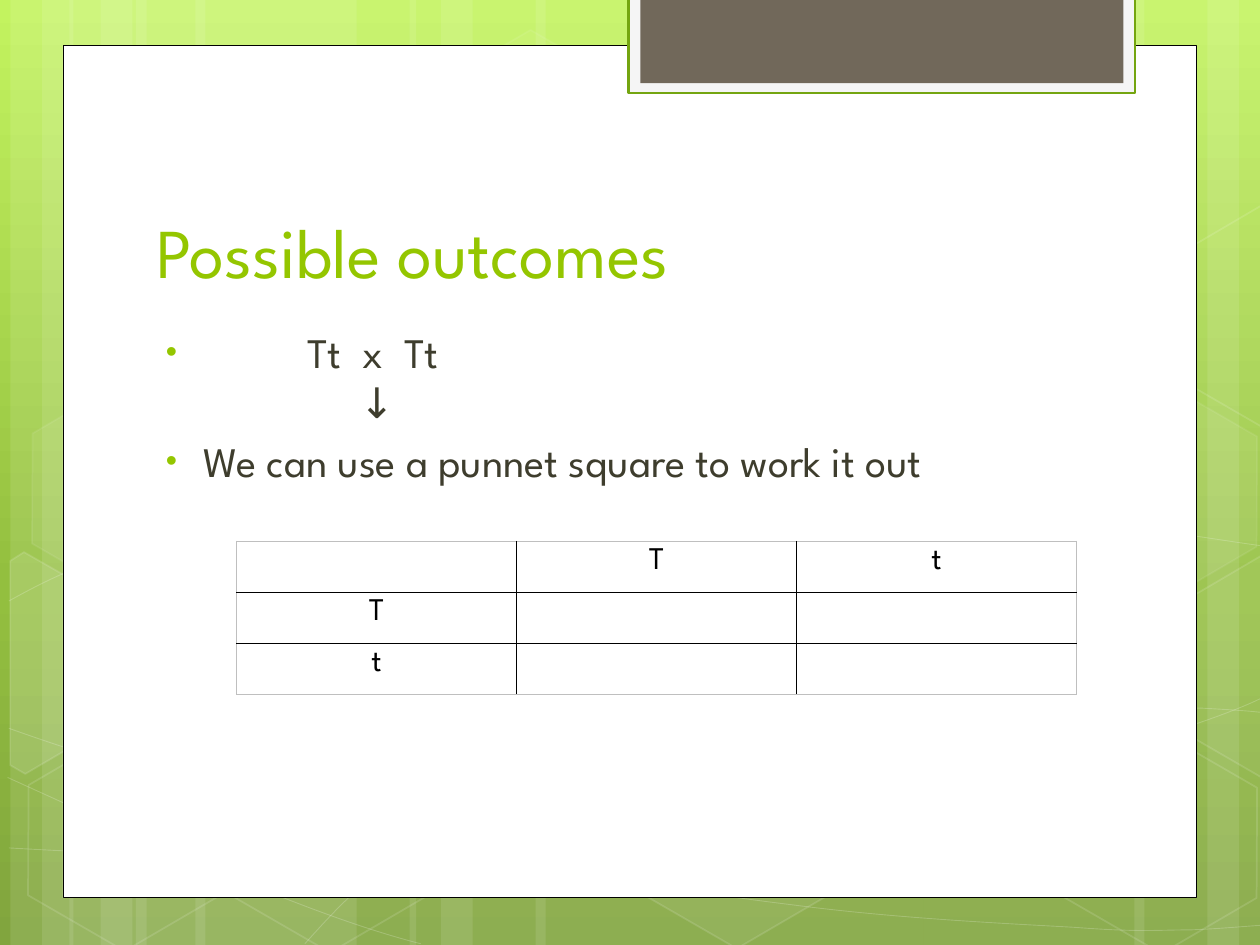
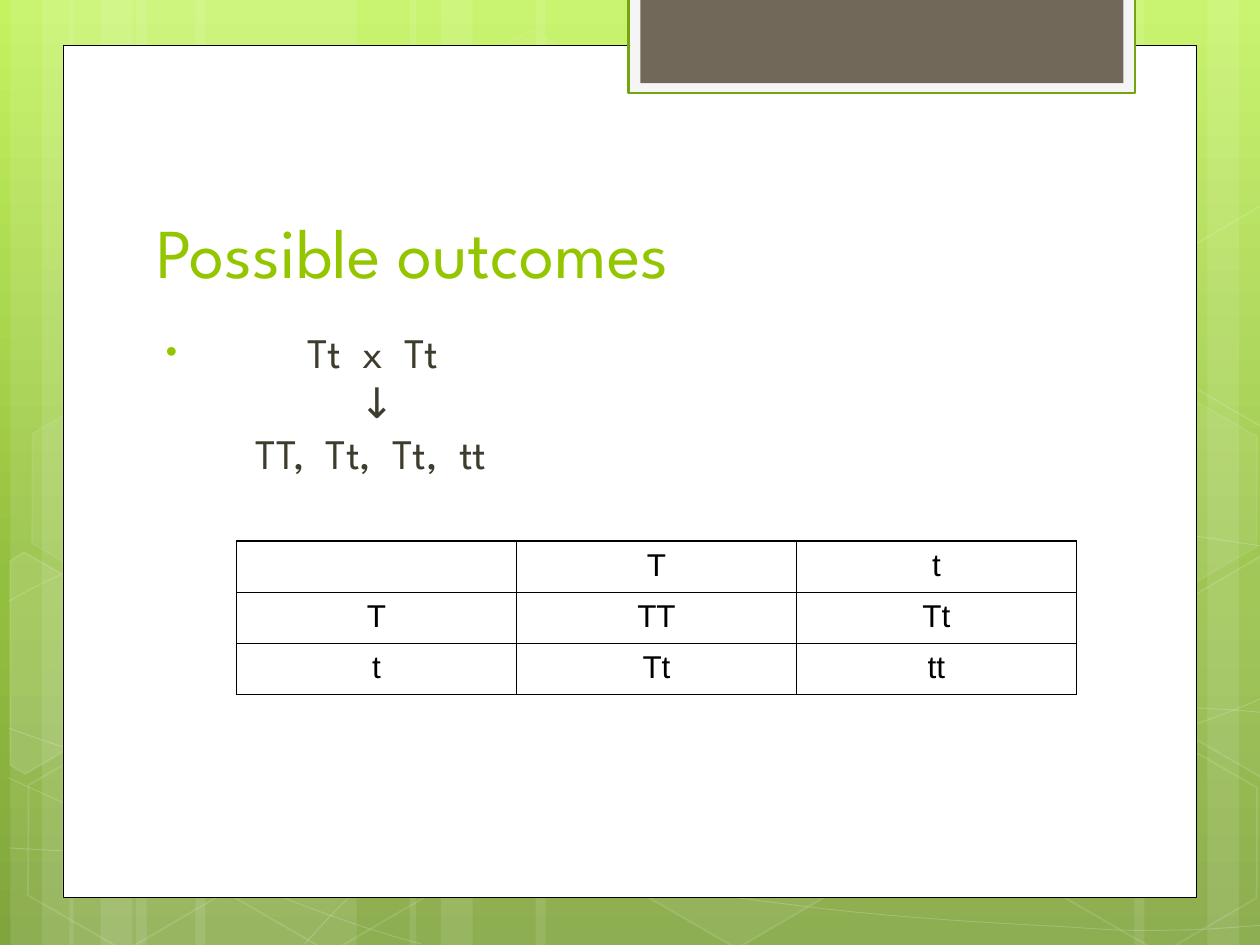
from copy import deepcopy
from math import cos, radians, sin

from lxml import etree
from pptx import Presentation
from pptx import util as u
from pptx.dml.color import RGBColor
from pptx.enum import shapes, text
from pptx.oxml.ns import qn

WHITE, BLACK, GREEN, OLIVE = "FFFFFF", "000000", "94C600", "3E3D2D"
TITLE = dict(name="League Spartan", size=u.Pt(40), bold=False)
BODY = dict(name="League Spartan", size=u.Pt(24), bold=False)


def paint(fill, colour, holder=None, alpha=100):
    """Fill with a hex colour; holder is the XML that gets the alpha."""
    if colour is None:
        fill.background()
        return
    fill.solid()
    fill.fore_color.rgb = RGBColor.from_string(colour)
    if alpha < 100:
        last_colour = holder.findall(".//" + qn("a:srgbClr"))[-1]
        etree.SubElement(last_colour, qn("a:alpha"), val=str(alpha * 1000))


def add_words(paragraph, words, font_format, colour, gap=0):
    """Add one run; with a gap, each space is widened by that many points."""
    parts = words.replace(" ", "| |").split("|") if gap else [words]
    for part in parts:
        run = paragraph.add_run()
        run.text = part
        for key, value in font_format.items():
            setattr(run.font, key, value)
        paint(run.font.fill, colour)
        if part == " ":
            run.font._element.set("spc", str(int(gap * 100)))


prs = Presentation()
prs.slide_width, prs.slide_height = u.Cm(25.4), u.Cm(19.05)
layout = prs.slide_layouts[1]
for placeholder in list(layout.placeholders):
    if placeholder.placeholder_format.idx >= 10:  # date, footer, number
        layout.shapes.element.remove(placeholder.element)

# Shared background gradient
background = layout.background.fill
background.gradient()
background.gradient_angle = 270
stops = layout.element.find(".//" + qn("a:gsLst"))
stops.insert(1, deepcopy(stops[0]))
for stop, (position, colour) in zip(
    background.gradient_stops, [(0, "C3F35F"), (0.62, "93BF3F"), (1, "81A53E")]
):
    stop.position = position
    stop.color.rgb = RGBColor.from_string(colour)

# Shared decoration: drawn on the first slide, then moved to the layout
slides = [prs.slides.add_slide(layout) for _ in range(2)]
canvas = slides[0].shapes
decoration = []  # shape, fill, fill alpha, line, line width, line alpha

# Light vertical bands: left, width
bands = [
    (2.74, 4.45), (0.21, 1.27), (0.85, 2.11),
    (3.94, 4.45), (1.4, 1.27), (2.03, 2.11),
    (18.62, 4.45), (24.34, 1.27), (22.87, 2.11),
    (10.8, 7.82), (8.26, 1.27), (8.89, 2.11),
]
for left, width in bands:
    band = canvas.add_shape(
        shapes.MSO_SHAPE.RECTANGLE, u.Cm(left), 0, u.Cm(width), prs.slide_height
    )
    decoration.append((band, WHITE, 10, None, 0, 100))

# Outlines lie on a grid of 1000 by 750 units
unit = prs.slide_width / 1000

# Flowing curves: a start, then two control points and an end per piece
curves = [
    [(7, 673), (61, 676), (115, 679), (190, 678), (265, 677), (358, 675), (458, 665),
     (558, 655), (700, 636), (792, 617), (883, 598), (977, 568), (1007, 551)],
    [(7, 477), (36, 461), (65, 446), (121, 431), (178, 416), (259, 394), (347, 387),
     (436, 380), (544, 379), (654, 387), (764, 395), (947, 426), (1007, 434)],
    [(6, 617), (127, 672), (247, 727), (334, 749)],
    [(7, 578), (38, 589), (70, 600), (128, 616), (186, 631), (273, 656), (357, 673),
     (440, 690), (545, 708), (628, 718), (711, 729), (800, 733), (853, 736),
     (905, 740), (919, 738), (945, 738), (971, 737), (989, 735), (1007, 734)],
    [(242, 749), (260, 729), (278, 709), (302, 691), (326, 673), (360, 653), (388, 639),
     (416, 625), (433, 619), (470, 609), (506, 599), (573, 585), (608, 578),
     (644, 571), (649, 571), (680, 569), (711, 566), (760, 563), (794, 562),
     (829, 561), (886, 562), (886, 562), (908, 562), (931, 562), (953, 562),
     (971, 563), (988, 564), (997, 565), (1006, 566), (1003, 565), (1006, 566)],
]
for curve in curves:
    points = [(x * unit, y * unit) for x, y in curve]
    builder = canvas.build_freeform(*points[0])
    builder.add_line_segments(points[1:], close=False)
    flow = builder.convert_to_shape()
    outline = flow.element.find(".//" + qn("a:path"))
    corners = outline.findall(qn("a:lnTo"))
    for first in range(0, len(corners), 3):
        bend = etree.SubElement(outline, qn("a:cubicBezTo"))
        for corner in corners[first:first + 3]:
            bend.append(corner[0])
            outline.remove(corner)
    decoration.append((flow, None, 100, WHITE, 0.5, 20))

# Hexagons: left, top, fill, fill alpha, line alpha
tilt = 30
hexagons = [
    (8.48, 0.91, WHITE, 4, 8), (12.62, 14.96, WHITE, 6, 12),
    (0.28, 15.01, None, 100, 12), (0.36, 7.92, WHITE, 7, 8),
    (4.42, 15.04, None, 100, 12), (19.13, 11.51, WHITE, 10, 12),
    (21.18, 15.06, None, 100, 12), (21.18, 7.98, WHITE, 7, 8),
]
for left, top, fill, fill_alpha, line_alpha in hexagons:
    hexagon = canvas.add_shape(
        shapes.MSO_SHAPE.HEXAGON, u.Cm(left), u.Cm(top), u.Cm(4.45), u.Cm(3.86)
    )
    hexagon.adjustments[0] = 0.285
    hexagon.rotation = tilt
    decoration.append((hexagon, fill, fill_alpha, WHITE, 1, line_alpha))

# Hexagons cut by the slide edge: centre, corners as tilted, fill, fill alpha
cut_hexagons = [
    ((36, 535), [(8, 445), (19, 438), (96, 482), (95, 570), (20, 614), (8, 607)], WHITE, 10),
    ((985, 520), [(926, 485), (1001, 441), (1009, 446), (1009, 613), (1002, 617), (926, 573)],
     WHITE, 4),
    ((985, 241), [(926, 207), (1001, 163), (1010, 168), (1009, 335), (1002, 339), (926, 295)],
     None, 100),
]
cosine, sine = cos(radians(tilt)), sin(radians(tilt))
for (middle_x, middle_y), corners, fill, fill_alpha in cut_hexagons:
    points = []
    for x, y in corners:  # turned back, as the shape itself is tilted
        across, down = x - middle_x, y - middle_y
        points.append((
            (middle_x + across * cosine + down * sine) * unit,
            (middle_y - across * sine + down * cosine) * unit,
        ))
    builder = canvas.build_freeform(*points[0])
    builder.add_line_segments(points[1:], close=True)
    cut_hexagon = builder.convert_to_shape()
    cut_hexagon.rotation = tilt
    decoration.append((cut_hexagon, fill, fill_alpha, WHITE, 1, 12))

# White page and the tab at its top
page_parts = [
    ((1.27, 0.91, 22.86, 17.19), WHITE, BLACK, 0.5),
    ((12.67, -0.05, 10.22, 1.93), "F5F5F5", "74A510", 1.25),
    ((12.91, -0.05, 9.74, 1.73), "71685A", None, 0),
]
for box, fill, line, line_width in page_parts:
    part = canvas.add_shape(shapes.MSO_SHAPE.RECTANGLE, *map(u.Cm, box))
    decoration.append((part, fill, 100, line, line_width, 100))

for place, (shape, fill, fill_alpha, line, line_width, line_alpha) in enumerate(decoration, 2):
    shape.shadow.inherit = False
    paint(shape.fill, fill, shape.element, fill_alpha)
    paint(shape.line.fill, line, shape.element, line_alpha)
    if line:
        shape.line.width = u.Pt(line_width)
    layout.shapes.element.insert(place, shape.element)

# Content. Lines: words, left margin, bulleted, points before, widened spaces
cross = [("Tt x Tt", 3.04, True, 0, 5.9), ("↓", 4.09, False, 0, 0)]
outcomes = [
    {
        "lines": cross + [("We can use a punnet square to work it out", 0.95, True, 4.8, 0)],
        "body_width": 20.02,
        "square": [["", "T", "t"], ["T", "", ""], ["t", "", ""]],
        "square_font": "League Spartan",
        "frame": ("BFBFBF", 0.5),
    },
    {
        "lines": cross + [("TT, Tt, Tt, tt", 1.99, False, 0, 5.9)],
        "body_width": 18.82,
        "square": [["", "T", "t"], ["T", "TT", "Tt"], ["t", "Tt", "tt"]],
        "square_font": "Arial",
        "frame": (BLACK, 1),
    },
]
bullet_left = 0.19

for slide, outcome in zip(slides, outcomes):
    # Title
    title, body = slide.placeholders
    title.left, title.top, title.width, title.height = map(u.Cm, (2.9, 2.84, 19.51, 3.18))
    title.text_frame.vertical_anchor = text.MSO_ANCHOR.BOTTOM
    title.text_frame.auto_size = text.MSO_AUTO_SIZE.NONE
    heading = title.text_frame.paragraphs[0]
    heading.alignment = text.PP_ALIGN.LEFT
    add_words(heading, "Possible outcomes", TITLE, GREEN)

    # Cross and its explanation
    body.left, body.top, body.width, body.height = map(
        u.Cm, (2.9, 6.45, outcome["body_width"], 9.75)
    )
    frame = body.text_frame
    frame.auto_size = text.MSO_AUTO_SIZE.NONE
    for number, (words, margin, bulleted, before, gap) in enumerate(outcome["lines"]):
        line = frame.add_paragraph() if number else frame.paragraphs[0]
        properties = line._p.get_or_add_pPr()
        properties.set("marL", str(u.Cm(margin)))
        properties.set("indent", str(u.Cm(bullet_left - margin) if bulleted else 0))
        if bulleted:
            bullet_colour = etree.SubElement(properties, qn("a:buClr"))
            etree.SubElement(bullet_colour, qn("a:srgbClr"), val=GREEN)
            etree.SubElement(properties, qn("a:buSzPct"), val="76000")
            etree.SubElement(properties, qn("a:buFont"), typeface="Arial")
            etree.SubElement(properties, qn("a:buChar"), char="•")
        else:
            etree.SubElement(properties, qn("a:buNone"))
        line.space_before = u.Pt(before)
        add_words(line, words, BODY, OLIVE, gap)

    # Punnet square
    size = len(outcome["square"])
    square = slide.shapes.add_table(
        size, size, u.Cm(4.77), u.Cm(10.91), u.Cm(16.93), u.Cm(3.09)
    ).table
    square.first_row = square.horz_banding = False
    square_format = dict(name=outcome["square_font"], size=u.Pt(18), bold=False)
    for row, alleles in enumerate(outcome["square"]):
        for column, allele in enumerate(alleles):
            cell = square.cell(row, column)
            paint(cell.fill, None)
            paragraph = cell.text_frame.paragraphs[0]
            paragraph.alignment = text.PP_ALIGN.CENTER
            if allele:
                add_words(paragraph, allele, square_format, BLACK)
            outer_sides = {
                "a:lnL": column == 0, "a:lnR": column == size - 1,
                "a:lnT": row == 0, "a:lnB": row == size - 1,
            }
            for place, (side, is_outer) in enumerate(outer_sides.items()):
                colour, width = outcome["frame"] if is_outer else (BLACK, 1)
                border = etree.Element(qn(side), w=str(u.Pt(width)))
                solid = etree.SubElement(border, qn("a:solidFill"))
                etree.SubElement(solid, qn("a:srgbClr"), val=colour)
                cell._tc.get_or_add_tcPr().insert(place, border)

prs.save("out.pptx")
